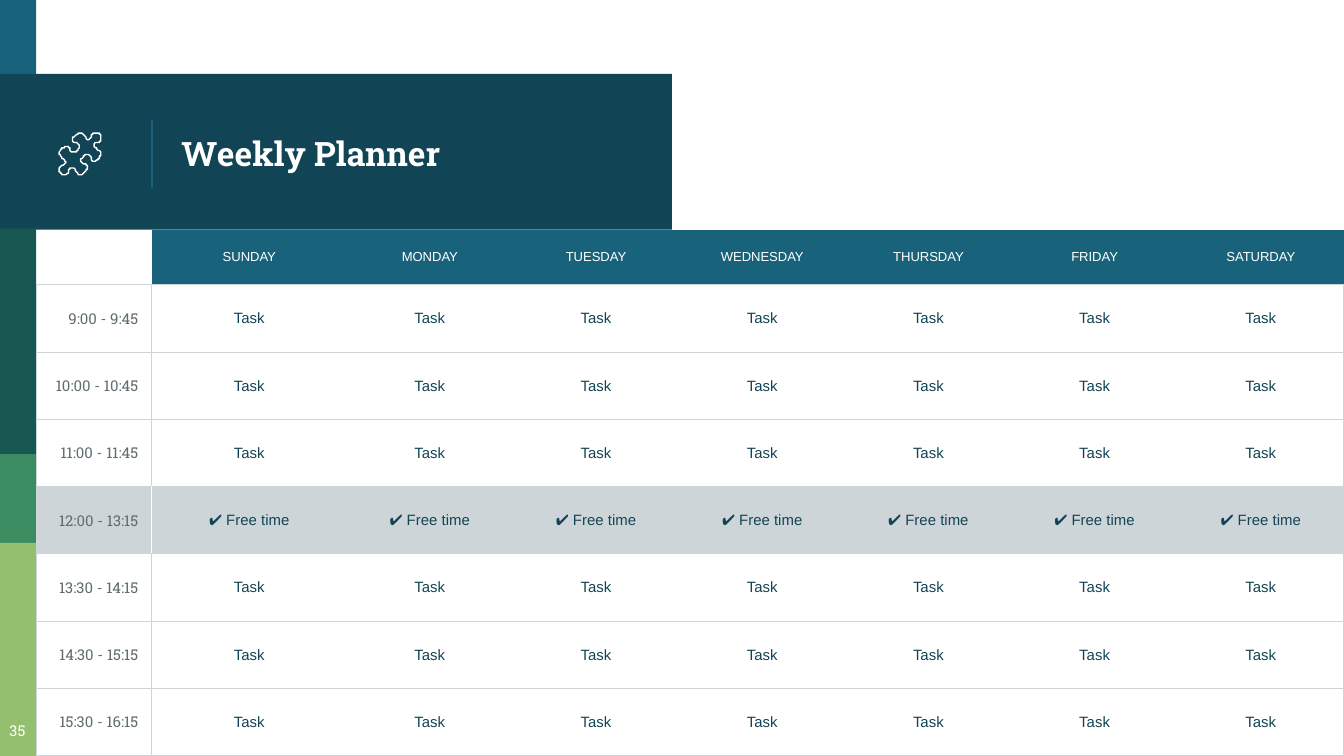
import lxml.etree
import pptx
import pptx.dml.color
import pptx.enum.shapes
import pptx.enum.text
import pptx.oxml.ns
import pptx.util

Inch, Pt = pptx.util.Inches, pptx.util.Pt
Align, Anchor = pptx.enum.text.PP_ALIGN, pptx.enum.text.MSO_ANCHOR
qn = pptx.oxml.ns.qn

# Content
TITLE = "Weekly Planner"
PAGE = "35"
DAYS = ["SUNDAY", "MONDAY", "TUESDAY", "WEDNESDAY", "THURSDAY", "FRIDAY", "SATURDAY"]
HOURS = [
    ("9:00 - 9:45", "Task"),
    ("10:00 - 10:45", "Task"),
    ("11:00 - 11:45", "Task"),
    ("12:00 - 13:15", "✔ Free time"),
    ("13:30 - 14:15", "Task"),
    ("14:30 - 15:15", "Task"),
    ("15:30 - 16:15", "Task"),
]

# Look
COLORS = {"white": "FFFFFF", "blue": "18637B", "navy": "114454", "pine": "165751",
          "green": "3B8D61", "lime": "94BF6E", "rule": "CED5D8", "gray": "5F6C70"}
FORMATS = {
    "title": {"size": Pt(18), "name": "Roboto Slab", "bold": True},
    "page": {"size": Pt(8), "name": "Roboto Slab"},
    "day": {"size": Pt(7), "name": "Arial"},
    "hour": {"size": Pt(8), "name": "Roboto Slab"},
    "task": {"size": Pt(8), "name": "Arial"},
}
INSET = Inch(0.1)
LINE = Pt(0.75)

# Grid, in inches
WIDE, HIGH = 10, 10 * 9 / 16
SIDE, TOP, HEAD = 0.27, 1.71, 0.41
FIRST, SECOND = 0.86, 1.45
COLS = [FIRST, SECOND] + [(WIDE - SIDE - FIRST - SECOND) / 6] * 6
ROWS = [HEAD] + [(HIGH - TOP - HEAD) / len(HOURS)] * len(HOURS)
BLOCKS = [  # color, top, width, height
    ("blue", 0, SIDE, 0.58),
    ("navy", 0.55, WIDE / 2, 1.16),
    ("pine", 1.7, SIDE, 1.68),
    ("green", 3.38, SIDE, 0.66),
    ("lime", 4.04, SIDE, HIGH - 4.04),
]
# Knots of the puzzle outline, in hundredths of an inch
KNOTS = [
    (71, 106), (73, 106), (75, 104), (75, 101), (73, 99), (70, 99), (68, 101), (67, 103),
    (65, 104), (63.5, 102), (61, 99), (59, 99), (56, 101), (54, 103), (54, 105), (56, 106),
    (58, 107), (59, 109), (58, 111.5), (56, 113), (53, 113), (52, 111), (51, 109.5), (49, 109),
    (47, 110), (45, 112), (44, 114), (45, 116), (48, 119), (49, 121), (47.5, 122.5), (45, 123.5),
    (44, 126), (45, 129), (48, 130), (50.5, 129), (51, 127), (53, 125), (55, 125), (57, 128),
    (59, 130), (61, 129.5), (64, 127), (65, 125), (65, 123.5), (63, 122), (61, 121), (60, 119),
    (61.5, 117), (64, 115), (66, 115), (67.5, 117), (68, 119), (70, 120), (72, 119), (74, 117),
    (75, 114), (74, 112), (71, 110), (70, 108),
]


def tint(name):
    return pptx.dml.color.RGBColor.from_string(COLORS[name])


def paint(fill, name):
    fill.solid()
    fill.fore_color.rgb = tint(name)


def write(frame, text, style, color, align=Align.CENTER):
    para = frame.paragraphs[0]
    para.alignment = align
    run = para.add_run()
    run.text = text
    for key, value in FORMATS[style].items():
        setattr(run.font, key, value)
    run.font.color.rgb = tint(color)


def pad(item, size):
    for side in ("left", "right", "top", "bottom"):
        setattr(item, "margin_" + side, size)


def edge(cell, sides):
    """Draw the given sides of a cell and clear the others."""
    props = cell._tc.get_or_add_tcPr()
    for side in "LRTB":
        line = lxml.etree.SubElement(props, qn("a:ln" + side), w=str(LINE))
        if side in sides:
            fill = lxml.etree.SubElement(line, qn("a:solidFill"))
            lxml.etree.SubElement(fill, qn("a:srgbClr"), val=COLORS[sides[side]])
        else:
            lxml.etree.SubElement(line, qn("a:noFill"))


def curve(knots, steps=4):
    """Smooth a closed outline with a Catmull-Rom spline."""
    count = len(knots)
    for i in range(count):
        near = [knots[(i + k) % count] for k in (-1, 0, 1, 2)]
        for step in range(steps):
            t = step / steps
            yield tuple(
                (2 * b + (c - a) * t + (2 * a - 5 * b + 4 * c - d) * t**2
                 + (3 * b - a - 3 * c + d) * t**3) / 2
                for a, b, c, d in zip(*near))


deck = pptx.Presentation()
deck.slide_width, deck.slide_height = Inch(WIDE), Inch(HIGH)
slide = deck.slides.add_slide(deck.slide_layouts[5])
shapes = slide.shapes
title = shapes.title

# Side bar and title band, kept behind the title
for color, top, width, height in BLOCKS:
    block = shapes.add_shape(pptx.enum.shapes.MSO_SHAPE.RECTANGLE,
                             0, Inch(top), Inch(width), Inch(height))
    block.shadow.inherit = False
    paint(block.fill, color)
    block.line.fill.background()
    title._element.addprevious(block._element)

# Rule beside the title
rule = shapes.add_connector(pptx.enum.shapes.MSO_CONNECTOR.STRAIGHT,
                            Inch(1.13), Inch(0.89), Inch(1.13), Inch(1.4))
rule.line.color.rgb, rule.line.width = tint("blue"), LINE
lxml.etree.SubElement(rule._element.spPr, qn("a:effectLst"))

# Title and page number
title.left, title.top, title.width, title.height = map(Inch, (1.25, 0.58, 3.51, 1.12))
page = shapes.add_textbox(*map(Inch, (-0.06, 5.27, 0.38, 0.35)))
for box, text, style, align, anchor in (
        (title, TITLE, "title", Align.LEFT, Anchor.MIDDLE),
        (page, PAGE, "page", Align.CENTER, Anchor.TOP)):
    frame = box.text_frame
    frame.word_wrap, frame.vertical_anchor = True, anchor
    frame.auto_size = pptx.enum.text.MSO_AUTO_SIZE.NONE
    pad(frame, INSET)
    write(frame, text, style, "white", align)

# Planner table
table = shapes.add_table(len(ROWS), len(COLS), Inch(SIDE), Inch(TOP),
                         Inch(sum(COLS)), Inch(sum(ROWS))).table
table.first_row = table.horz_banding = False
for col, width in zip(table.columns, COLS):
    col.width = Inch(width)
for row, height in zip(table.rows, ROWS):
    row.height = Inch(height)

grid = [[""] + DAYS] + [[hour] + [task] * len(DAYS) for hour, task in HOURS]
for r, line in enumerate(grid):
    free = "Free" in line[1]
    for c, text in enumerate(line):
        cell = table.cell(r, c)
        cell.vertical_anchor = Anchor.MIDDLE
        pad(cell, INSET if text else 0)
        sides = {"B": "rule"}
        if r:
            sides["T"] = "rule"
            split = "white" if free else "rule"
            if c < 2:
                sides["L"] = split if c else "rule"
            if c == 0:
                sides["R"] = split
            elif c == len(DAYS):
                sides["R"] = "rule"
        edge(cell, sides)
        if free or (r == 0 and c):
            paint(cell.fill, "rule" if free else "blue")
        else:
            cell.fill.background()
        if r == 0:
            write(cell.text_frame, text, "day", "white")
        elif c == 0:
            write(cell.text_frame, text, "hour", "gray", Align.RIGHT)
        else:
            write(cell.text_frame, text, "task", "navy")

# Puzzle icon
dots = list(curve(KNOTS))
pen = shapes.build_freeform(*dots[0], scale=Inch(0.01))
pen.add_line_segments(dots[1:], close=True)
icon = pen.convert_to_shape()
icon.shadow.inherit = False
icon.fill.background()
icon.line.color.rgb, icon.line.width = tint("white"), LINE

deck.save("out.pptx")
